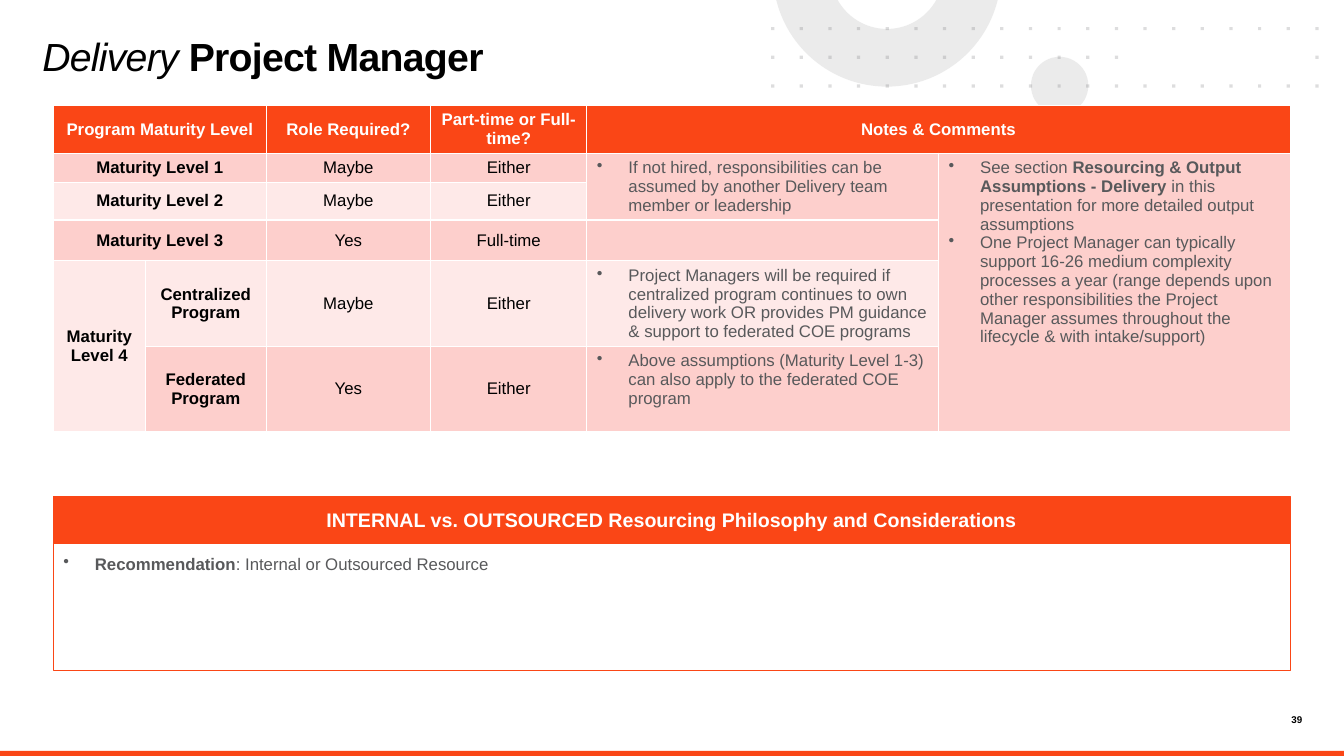
"""Build the Delivery Project Manager role slide."""
import math

import lxml.etree
import pptx
import pptx.enum.shapes
import pptx.enum.text
import pptx.oxml.ns
import pptx.util

Pt = pptx.util.Pt
ALIGN = pptx.enum.text.PP_ALIGN
ANCHOR = pptx.enum.text.MSO_ANCHOR
SHAPE = pptx.enum.shapes.MSO_SHAPE
ORANGE, PINK, PALE = "FA4616", "FDCFCC", "FEE9E8"
BLACK, GREY, WHITE = "000000", "58595B", "FFFFFF"


def paint(fill, color):
    fill.solid()
    fill.fore_color.rgb = pptx.dml.color.RGBColor.from_string(color)


def write(paragraph, runs, color, size=12, align=ALIGN.CENTER):
    paragraph.alignment = align
    if align == ALIGN.LEFT:
        properties = paragraph._p.get_or_add_pPr()
        properties.set("marL", str(Pt(22.5)))
        properties.set("indent", str(-Pt(22.5)))
        lxml.etree.SubElement(properties, pptx.oxml.ns.qn("a:buChar"), char="•")
    for text, bold in runs:
        run = paragraph.add_run()
        run.text = text
        run.font.name, run.font.size, run.font.bold = "Arial", Pt(size), bold
        paint(run.font.fill, color)


presentation = pptx.Presentation()
presentation.slide_width, presentation.slide_height = Pt(960), Pt(540)
slide = presentation.slides.add_slide(presentation.slide_layouts[5])
shapes = slide.shapes

bar = shapes.add_shape(SHAPE.RECTANGLE, Pt(0), Pt(536.4), Pt(960), Pt(3.6))
bar.shadow.inherit = False
paint(bar.fill, ORANGE)
bar.line.fill.background()

# Each decoration holds a shape, its colour and its opacity in percent
circle = shapes.add_shape(SHAPE.OVAL, Pt(736.4), Pt(40.6), Pt(41), Pt(41))
decorations = [(circle, "D9D9D9", 50)]

center_x, center_y = 633.6, -19.6
ring_points = []
for radius, direction in ((81.5, 1), (40.3, -1)):
    start = math.asin(-center_y / radius)
    sweep = math.pi - 2 * start
    arc = [start + sweep * step / 60 for step in range(61)][::direction]
    ring_points += [(Pt(center_x + radius * math.cos(angle)),
                     Pt(center_y + radius * math.sin(angle))) for angle in arc]
ring = shapes.build_freeform(*ring_points[0])
ring.add_line_segments(ring_points[1:])
decorations.append((ring.convert_to_shape(), "D9D9D9", 50))

DOT, STEP = 2.3, 20.46
for first, last in ((0, 6), (6, 12), (12, 14), (14, 20)):
    builder = None
    for row in range(3):
        for column in range(first, last):
            if row == 1 and 13 <= column <= 18:
                continue
            left, top = 550.8 + column * STEP, 19.3 + row * STEP
            if builder is None:
                builder = shapes.build_freeform(Pt(left), Pt(top))
            else:
                builder.move_to(Pt(left), Pt(top))
            builder.add_line_segments([
                (Pt(left + DOT), Pt(top)), (Pt(left + DOT), Pt(top + DOT)), (Pt(left), Pt(top + DOT))])
    decorations.append((builder.convert_to_shape(), GREY, 20))

for shape, color, opacity in decorations:
    shape.shadow.inherit = False
    paint(shape.fill, color)
    shape.line.fill.background()
    fill_color = shape.element.spPr.find(".//" + pptx.oxml.ns.qn("a:srgbClr"))
    lxml.etree.SubElement(fill_color, pptx.oxml.ns.qn("a:alpha"), val=str(opacity * 1000))

title = shapes.title
title.left, title.top, title.width, title.height = Pt(30.2), Pt(28), Pt(520.6), Pt(54)
number = shapes.add_textbox(Pt(902.2), Pt(509.8), Pt(28), Pt(9.4))
for shape in (title, number):
    frame = shape.text_frame
    frame.margin_left = frame.margin_top = frame.margin_right = frame.margin_bottom = 0
    frame.auto_size = pptx.enum.text.MSO_AUTO_SIZE.NONE
    frame.vertical_anchor = ANCHOR.TOP
    frame.word_wrap = True
heading = title.text_frame.paragraphs[0]
write(heading, [("Delivery ", False), ("Project Manager", True)], BLACK, 28)
heading.alignment = ALIGN.LEFT
heading.line_spacing = 0.85
heading.runs[0].font.italic = True
for run in heading.runs:
    run._r.get_or_add_rPr().set("spc", "-50")
write(number.text_frame.paragraphs[0], [("39", True)], BLACK, 7, ALIGN.RIGHT)
number_properties = number.text_frame.paragraphs[0]._p.get_or_add_pPr()

widths = [65.6, 86.4, 117.4, 111.6, 251.2, 251.2]
heights = [33.8, 20.4, 27, 20.4, 60.8, 60.8]
table = shapes.add_table(6, 6, Pt(38.2), Pt(75.4), Pt(sum(widths)), Pt(sum(heights))).table
table.horz_banding = False
for column, width in zip(table.columns, widths):
    column.width = Pt(width)
for row, height in zip(table.rows, heights):
    row.height = Pt(height)

labels = [
    ["Program Maturity Level", "", "Role Required?", "Part-time or Full-time?", "Notes & Comments", ""],
    ["Maturity Level 1", "", "Maybe", "Either"],
    ["Maturity Level 2", "", "Maybe", "Either"],
    ["Maturity Level 3", "", "Yes", "Full-time"],
    ["Maturity Level 4", "Centralized Program", "Maybe", "Either"],
    ["", "Federated Program", "Yes", "Either"],
]
notes = {
    (1, 4): [[("If not hired, responsibilities can be assumed by another Delivery team member or "
               "leadership", False)]],
    (1, 5): [[("See section ", False), ("Resourcing & Output Assumptions - Delivery ", True),
              ("in this presentation for more detailed output assumptions", False)],
             [("One Project Manager can typically support 16-26 medium complexity processes a year "
               "(range depends upon other responsibilities the Project Manager assumes throughout "
               "the lifecycle & with intake/support)", False)]],
    (4, 4): [[("Project Managers will be required if centralized program continues to own delivery "
               "work OR provides PM guidance & support to federated COE programs", False)]],
    (5, 4): [[("Above assumptions (Maturity Level 1-3) can also apply to the federated COE program",
               False)]],
}
row_fills = [ORANGE, PINK, PALE, PINK, PALE, PINK]
for row, row_fill in enumerate(row_fills):
    for column in range(6):
        paint(table.cell(row, column).fill, row_fill)
    for column, label in enumerate(labels[row]):
        if label:
            cell = table.cell(row, column)
            cell.vertical_anchor = ANCHOR.MIDDLE
            write(cell.text_frame.paragraphs[0], [(label, row == 0 or column < 2)],
                  BLACK if row else WHITE)
for position, paragraphs in notes.items():
    frame = table.cell(*position).text_frame
    for index, runs in enumerate(paragraphs):
        paragraph = frame.add_paragraph() if index else frame.paragraphs[0]
        write(paragraph, runs, GREY, align=ALIGN.LEFT)
merges = [((row, 0), (row, 1)) for row in range(4)]
merges += [((0, 4), (0, 5)), ((1, 4), (2, 4)), ((1, 5), (5, 5)), ((4, 0), (5, 0))]
for first, last in merges:
    table.cell(*first).merge(table.cell(*last))

panels = [
    (388, 90.8, WHITE, ANCHOR.TOP, ALIGN.LEFT, 12, GREY,
     [("Recommendation", True), (": Internal or Outsourced Resource", False)]),
    (354.9, 33.1, ORANGE, ANCHOR.MIDDLE, ALIGN.CENTER, 14, WHITE,
     [("INTERNAL vs. OUTSOURCED Resourcing Philosophy and Considerations", True)]),
]
for top, height, fill, anchor, align, size, color, runs in panels:
    panel = shapes.add_shape(SHAPE.RECTANGLE, Pt(38.2), Pt(top), Pt(883.4), Pt(height))
    panel.shadow.inherit = False
    paint(panel.fill, fill)
    paint(panel.line.fill, ORANGE)
    panel.line.width = Pt(0.75)
    frame = panel.text_frame
    frame.margin_left = frame.margin_top = frame.margin_right = frame.margin_bottom = Pt(7.2)
    frame.vertical_anchor = anchor
    frame.word_wrap = True
    frame.paragraphs[0].space_after = Pt(6)
    write(frame.paragraphs[0], runs, color, size, align)

presentation.save("out.pptx")
